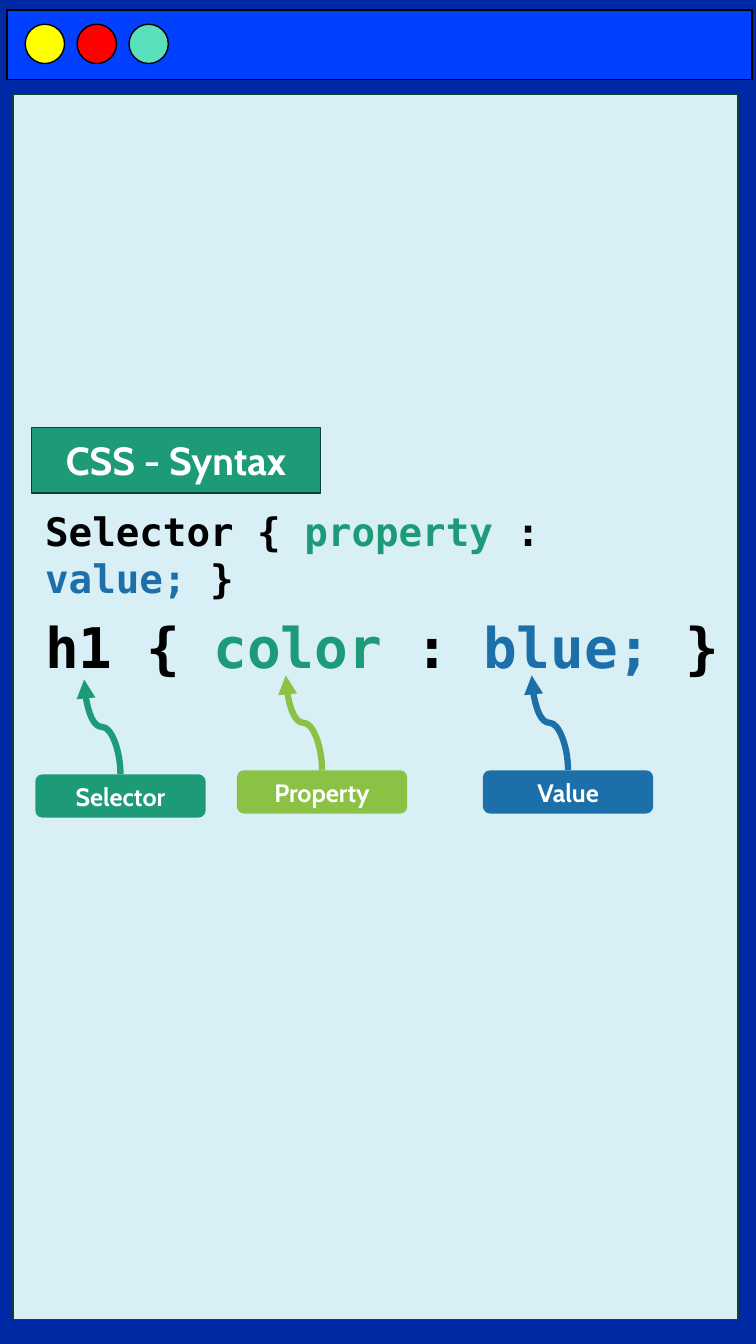
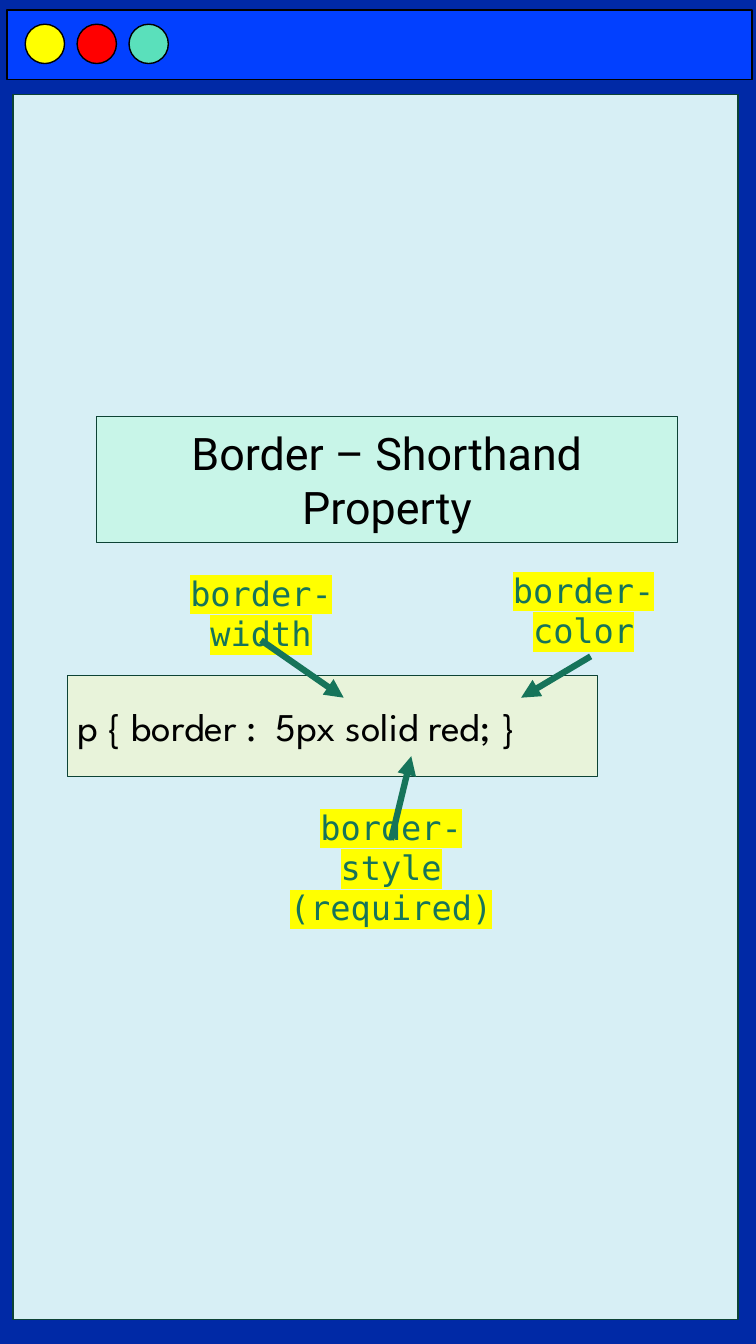
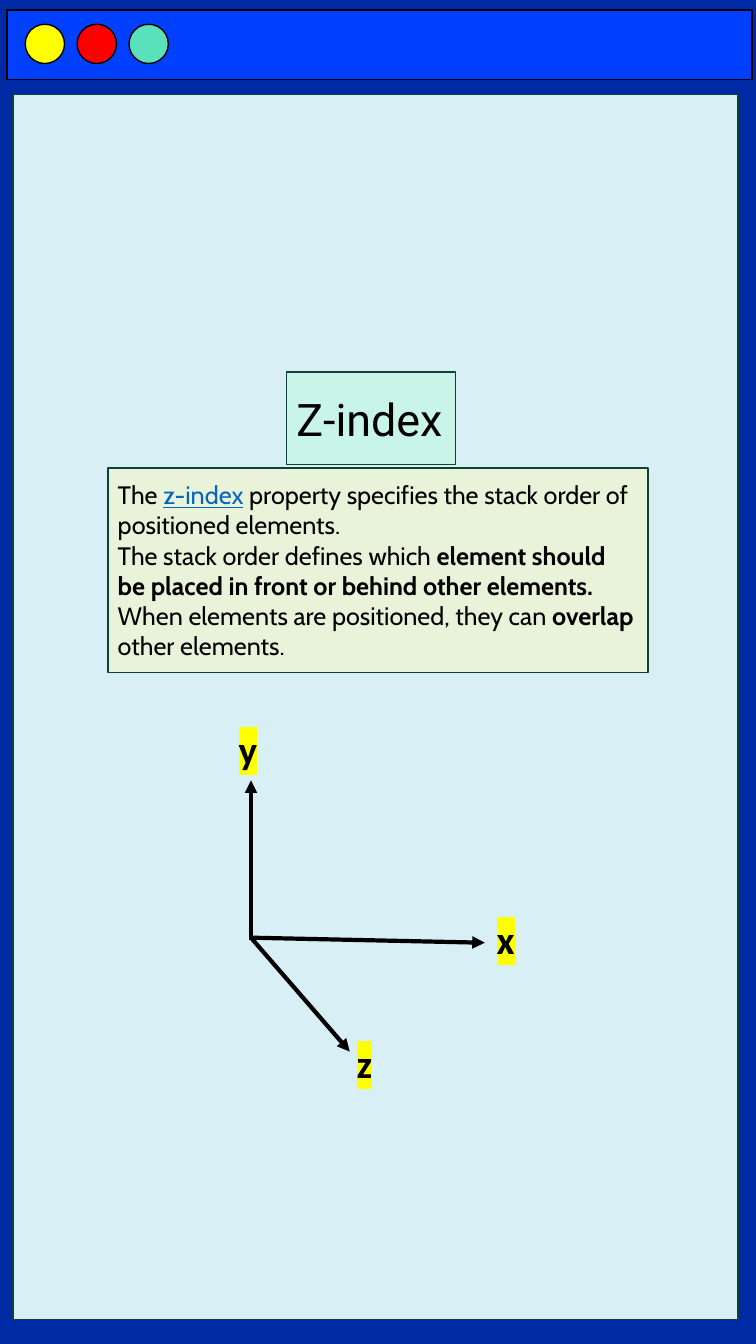
from dataclasses import dataclass, replace

from lxml import etree
from pptx import Presentation
from pptx.dml.color import RGBColor
from pptx.enum.shapes import MSO_CONNECTOR, MSO_SHAPE
from pptx.enum.text import MSO_ANCHOR, MSO_AUTO_SIZE, PP_ALIGN
from pptx.oxml.ns import qn
from pptx.util import Inches, Pt

RECTANGLE = MSO_SHAPE.RECTANGLE
ROUNDED = MSO_SHAPE.ROUNDED_RECTANGLE
OVAL = MSO_SHAPE.OVAL
STRAIGHT = MSO_CONNECTOR.STRAIGHT
CURVE = MSO_CONNECTOR.CURVE
MIDDLE = MSO_ANCHOR.MIDDLE
NO_AUTOFIT = MSO_AUTO_SIZE.NONE
LEFT = PP_ALIGN.LEFT
CENTER = PP_ALIGN.CENTER
TOP_SIDE, BOTTOM_SIDE = 0, 2
QUARTER_TURN_LEFT = 270 * 60000
TITLE_ONLY = 5

NAVY = "0029A6"
BAR_BLUE = "0240FF"
PANEL = "D7EFF5"
OUTLINE = "0D4335"
BLACK = "000000"
WHITE = "FFFFFF"
YELLOW = "FFFF00"
RED = "FF0000"
MINT = "5AE0BB"
TITLE_MINT = "C8F5E8"
NOTE_GREEN = "E8F3DA"
GREEN = "1D9A78"
DARK_GREEN = "16745A"
LIME = "8BC145"
BLUE = "1D6FA9"
LINK_BLUE = "0563C1"


@dataclass(frozen=True)
class Style:
    font: str
    size: int
    color: str = BLACK
    bold: bool = False
    underline: bool = False
    highlight: str = ""


TITLE = Style("Roboto", 32)
SYNTAX_TITLE = Style("Cabin", 28, WHITE, bold=True)
LABEL = Style("Cabin", 18, WHITE, bold=True)
BODY = Style("Cabin", 18)
STRONG = replace(BODY, bold=True)
TERM = replace(BODY, color=LINK_BLUE, underline=True)
CODE = Style("DejaVu Sans Mono", 28, bold=True)
RULE = Style("League Spartan", 28)
NOTE = Style("DejaVu Sans Mono", 24, DARK_GREEN, highlight=YELLOW)
AXIS = Style("Calibri", 28, bold=True, highlight=YELLOW)


def rgb(color):
    return RGBColor.from_string(color)


def paint(shape, fill, line=None):
    shape.fill.solid()
    shape.fill.fore_color.rgb = rgb(fill)
    if line:
        shape.line.color.rgb = rgb(line)
        shape.line.width = Pt(1)
    else:
        shape.line.fill.background()


def add_span(para, text, style):
    span = para.add_run()
    span.text = text
    font = span.font
    font.color.rgb = rgb(style.color)
    if style.highlight:
        properties = span._r.get_or_add_rPr()
        highlight = etree.SubElement(properties, qn("a:highlight"))
        etree.SubElement(highlight, qn("a:srgbClr"), val=style.highlight)
    font.name = style.font
    font.size = Pt(style.size)
    font.bold = style.bold
    font.underline = style.underline


def write(shape, paragraphs, align=LEFT):
    frame = shape.text_frame
    frame.word_wrap = True
    frame.auto_size = NO_AUTOFIT
    frame.vertical_anchor = MIDDLE
    for index, spans in enumerate(paragraphs):
        para = frame.add_paragraph() if index else frame.paragraphs[0]
        para.alignment = align
        for text, style in spans:
            add_span(para, text, style)


def add_block(page, kind, box, fill, line=None):
    shape = page.shapes.add_shape(kind, *map(Inches, box))
    shape.shadow.inherit = False
    paint(shape, fill, line)
    return shape


def add_text(page, box, spans, align=LEFT):
    shape = page.shapes.add_textbox(*map(Inches, box))
    write(shape, [spans], align)
    return shape


def add_arrow(page, kind, start, end, color, width):
    arrow = page.shapes.add_connector(kind, *map(Inches, (*start, *end)))
    arrow.line.color.rgb = rgb(color)
    arrow.line.width = Pt(width)
    etree.SubElement(arrow.line._get_or_add_ln(), qn("a:tailEnd"), type="triangle")
    etree.SubElement(arrow._element.spPr, qn("a:effectLst"))
    return arrow


def add_window(page, left, top):
    add_block(page, RECTANGLE, (left, top, 7.39, 0.69), BAR_BLUE, BLACK)
    for index, color in enumerate((YELLOW, RED, MINT)):
        dot = (left + 0.18 + index * 0.515, top + 0.14, 0.39, 0.39)
        add_block(page, OVAL, dot, color, BLACK)
    add_block(page, RECTANGLE, (left + 0.06, top + 0.84, 7.19, 12.15), PANEL, OUTLINE)


def add_page(deck, title, box, style=TITLE, fill=TITLE_MINT, align=CENTER):
    page = deck.slides.add_slide(deck.slide_layouts[TITLE_ONLY])
    add_window(page, 0.07, 0.1)
    heading = page.shapes.title
    heading.left, heading.top, heading.width, heading.height = map(Inches, box)
    paint(heading, fill, OUTLINE)
    write(heading, [[(title, style)]], align)
    page.shapes.element.append(heading.element)
    return page


def add_code_line(page, left, top, size, parts):
    colors = (BLACK, GREEN, BLACK, BLUE, BLACK)
    spans = [(text, replace(CODE, size=size, color=color))
             for text, color in zip(parts, colors)]
    add_text(page, (left, top, 7.05, 0.43), spans)


def add_callout(page, left, top, text, color):
    width, rise, shift = 1.69, 0.94, 0.36
    middle_x = left + width / 2 - shift / 2
    middle_y = top - rise / 2
    start = (middle_x - rise / 2, middle_y + shift / 2)
    end = (middle_x + rise / 2, middle_y - shift / 2)
    arrow = add_arrow(page, CURVE, start, end, color, 4.5)
    arrow._element.spPr.find(qn("a:xfrm")).set("rot", str(QUARTER_TURN_LEFT))
    label = add_block(page, ROUNDED, (left, top, width, 0.43), color)
    write(label, [[(text, LABEL)]], CENTER)


def add_note(page, left, top, text, start, end, side=None):
    note = add_text(page, (left, top, 2.58, 0.54), [(text, NOTE)], CENTER)
    arrow = add_arrow(page, STRAIGHT, start, end, DARK_GREEN, 4.5)
    if side is not None:
        arrow.begin_connect(note, side)


def add_axes(page, left, top):
    axes = (
        ("z", (0, 0), (0.98, 1.13), (0.95, 0.74)),
        ("x", (0, 0), (2.32, 0.05), (2.34, -0.49)),
        ("y", (0, 0.02), (0, -1.56), (-0.22, -2.37)),
    )
    for name, start, end, corner in axes:
        add_arrow(page, STRAIGHT, (left + start[0], top + start[1]),
                  (left + end[0], top + end[1]), BLACK, 3)
        box = (left + corner[0], top + corner[1], 0.44, 1)
        add_text(page, box, [(name, AXIS)])


def build_syntax(deck):
    page = add_page(deck, "CSS - Syntax", (0.31, 4.24, 2.87, 0.65), SYNTAX_TITLE, GREEN)
    add_code_line(page, 0.35, 5.28, 28, ("Selector { ", "property", " : ", "value;", " }"))
    add_code_line(page, 0.35, 6.19, 40, ("h1 { ", "color", " : ", "blue;", " }"))
    add_callout(page, 0.35, 7.68, "Selector", GREEN)
    add_callout(page, 2.35, 7.64, "Property", LIME)
    add_callout(page, 4.79, 7.64, "Value", BLUE)


def build_border(deck):
    page = add_page(deck, "Border – Shorthand Property", (0.96, 4.13, 5.76, 1.25))
    rule = add_block(page, RECTANGLE, (0.67, 6.7, 5.26, 1), NOTE_GREEN, OUTLINE)
    write(rule, [[("p { border :  5px solid red; }", RULE)]])
    add_note(page, 1.3, 5.81, "border-width", (2.59, 6.35), (3.41, 6.92), BOTTOM_SIDE)
    add_note(page, 2.59, 8.33, "border-style (required)", (3.88, 8.33), (4.08, 7.5), TOP_SIDE)
    add_note(page, 4.5, 5.78, "border-color", (5.86, 6.51), (5.17, 6.92))


def build_z_index(deck):
    page = add_page(deck, "Z-index", (2.84, 3.69, 1.68, 0.92), align=LEFT)
    summary = add_block(page, RECTANGLE, (1.07, 4.64, 5.36, 2.03), NOTE_GREEN, OUTLINE)
    write(summary, [
        [("The ", BODY), ("z-index", TERM),
         (" property specifies the stack order of positioned elements.", BODY)],
        [("The stack order defines which ", BODY),
         ("element should be placed in front or behind other elements.", STRONG)],
        [("When elements are positioned, they can ", BODY), ("overlap", STRONG),
         (" other elements.", BODY)],
    ])
    add_axes(page, 2.49, 9.3)


def main():
    deck = Presentation()
    deck.slide_width = Inches(7.5)
    deck.slide_height = Inches(13.33)
    background = deck.slide_master.background.fill
    background.solid()
    background.fore_color.rgb = rgb(NAVY)
    build_syntax(deck)
    build_border(deck)
    build_z_index(deck)
    deck.save("out.pptx")


if __name__ == "__main__":
    main()
